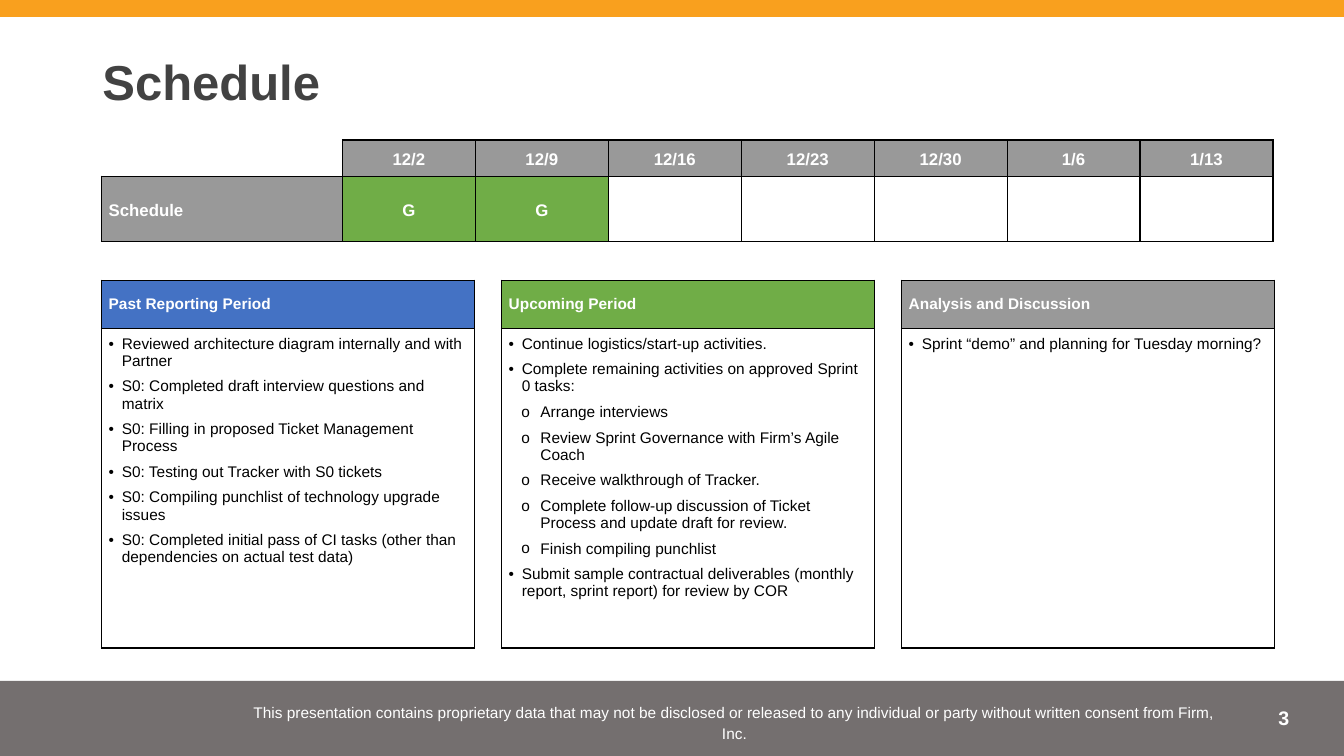
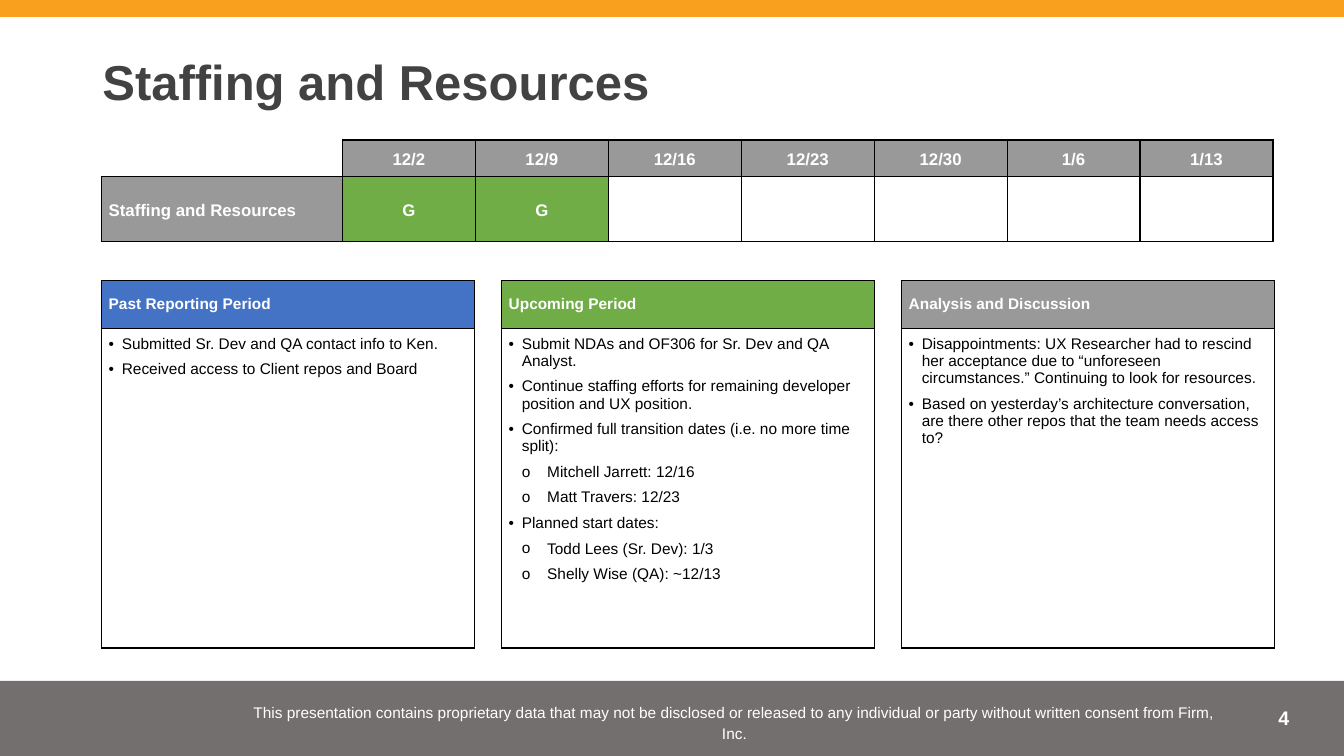
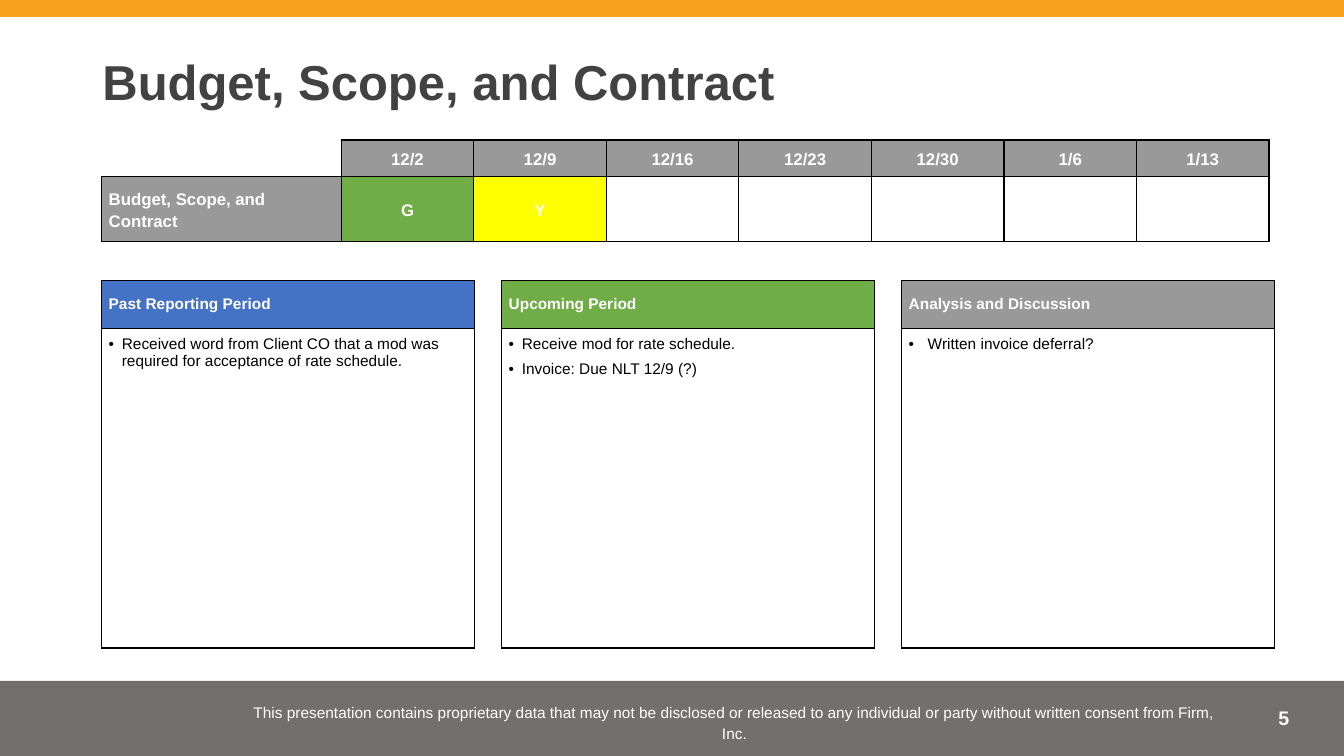
from collections import namedtuple

from lxml.etree import Element, SubElement
from pptx import Presentation
from pptx.dml.color import RGBColor
from pptx.enum.shapes import MSO_SHAPE
from pptx.enum.text import MSO_ANCHOR as Anchor, MSO_AUTO_SIZE as AutoSize, PP_ALIGN as Align
from pptx.oxml.ns import qn
from pptx.util import Cm, Pt

WHITE = RGBColor(0xFF, 0xFF, 0xFF)
BLACK = RGBColor(0x00, 0x00, 0x00)
CHARCOAL = RGBColor(0x42, 0x42, 0x42)
ORANGE = RGBColor(0xF9, 0xA0, 0x1E)
BROWN = RGBColor(0x4F, 0x49, 0x49)
GRAY = RGBColor(0x99, 0x99, 0x99)
GREEN = RGBColor(0x70, 0xAD, 0x47)
BLUE = RGBColor(0x44, 0x72, 0xC4)
YELLOW = RGBColor(0xFF, 0xFF, 0x00)

FONT = "Arial"
PLAIN_TABLE = "{2D5ABB26-0587-4C30-8999-92F81FD0307C}"
SLIDE_WIDTH, SLIDE_HEIGHT = 33.87, 19.05
CONTENT_LEFT = 2.56
CELL_INSET = 0.18
LABEL_SHARE = 0.21
CARD_STEP, CARD_WIDTH = 10.08, 9.4

DATES = ["12/2", "12/9", "12/16", "12/23", "12/30", "1/6", "1/13"]
STATUS_COLORS = {"G": GREEN, "Y": YELLOW}
CARD_HEADINGS = [
    ("Past Reporting Period", BLUE),
    ("Upcoming Period", GREEN),
    ("Analysis and Discussion", GRAY),
]
NOTICE = (
    "This presentation contains proprietary data that may not be disclosed or released "
    "to any individual or party without written consent from Firm, Inc."
)

Bullet = namedtuple("Bullet", "mark left hanging level")
MAIN = Bullet("•", 0.33, 0.33, 0)
WIDE = Bullet("•", 0.48, 0.48, 0)
TASK = Bullet("o", 0.8, 0.48, 1)
PERSON = Bullet("o", 0.97, 0.64, 0)

Report = namedtuple("Report", "title statuses label_width date_width cards")
REPORTS = [
    Report("Schedule", "GG", 6.07, 3.35, [
        [
            (MAIN, "Reviewed architecture diagram internally and with Partner"),
            (MAIN, "S0: Completed draft interview questions and matrix"),
            (MAIN, "S0: Filling in proposed Ticket Management Process"),
            (MAIN, "S0: Testing out Tracker with S0 tickets"),
            (MAIN, "S0: Compiling punchlist of technology upgrade issues"),
            (MAIN, "S0: Completed initial pass of CI tasks (other than dependencies on actual test data)"),
        ],
        [
            (MAIN, "Continue logistics/start-up activities."),
            (MAIN, "Complete remaining activities on approved Sprint 0 tasks:"),
            (TASK, "Arrange interviews"),
            (TASK, "Review Sprint Governance with Firm’s Agile Coach"),
            (TASK, "Receive walkthrough of Tracker."),
            (TASK, "Complete follow-up discussion of Ticket Process and update draft for review."),
            (TASK, "Finish compiling punchlist"),
            (MAIN, "Submit sample contractual deliverables (monthly report, sprint report) for review by COR"),
        ],
        [(MAIN, "Sprint “demo” and planning for Tuesday morning?")],
    ]),
    Report("Staffing and Resources", "GG", 6.07, 3.35, [
        [
            (MAIN, "Submitted Sr. Dev and QA contact info to Ken."),
            (MAIN, "Received access to Client repos and Board"),
        ],
        [
            (MAIN, "Submit NDAs and OF306 for Sr. Dev and QA Analyst."),
            (MAIN, "Continue staffing efforts for remaining developer position and UX position."),
            (MAIN, "Confirmed full transition dates (i.e. no more time split):"),
            (PERSON, "Mitchell Jarrett: 12/16"),
            (PERSON, "Matt Travers: 12/23"),
            (MAIN, "Planned start dates:"),
            (PERSON, "Todd Lees (Sr. Dev): 1/3"),
            (PERSON, "Shelly Wise (QA): ~12/13"),
        ],
        [
            (MAIN, "Disappointments: UX Researcher had to rescind her acceptance due to "
                   "“unforeseen circumstances.” Continuing to look for resources."),
            (MAIN, "Based on yesterday’s architecture conversation, are there other repos "
                   "that the team needs access to?"),
        ],
    ]),
    Report("Budget, Scope, and Contract", "GY", 6.04, 3.34, [
        [(MAIN, "Received word from Client CO that a mod was required for acceptance of rate schedule.")],
        [
            (MAIN, "Receive mod for rate schedule."),
            (MAIN, "Invoice: Due NLT 12/9 (?)"),
        ],
        [(WIDE, "Written invoice deferral?")],
    ]),
]


class StatusDeck:
    """Builds status report slides in one shared style."""

    def __init__(self):
        self.prs = Presentation()
        self.prs.slide_width, self.prs.slide_height = Cm(SLIDE_WIDTH), Cm(SLIDE_HEIGHT)
        self.slide = None

    def style(self, paragraph, size, color, bold=False, align=Align.LEFT, spacing=1.0):
        paragraph.alignment = align
        paragraph.line_spacing = spacing
        font = paragraph.font
        font.name, font.size, font.bold = FONT, Pt(size), bold
        font.color.rgb = color

    def frame(self, text_frame, text, inset, anchor, **style):
        text_frame.word_wrap = True
        text_frame.auto_size = AutoSize.NONE
        text_frame.vertical_anchor = anchor
        text_frame.margin_left = text_frame.margin_right = Cm(0.25)
        text_frame.margin_top = text_frame.margin_bottom = Cm(inset)
        text_frame.text = text
        self.style(text_frame.paragraphs[0], **style)

    def band(self, top, height, color, opacity=100):
        band = self.slide.shapes.add_shape(
            MSO_SHAPE.RECTANGLE, 0, Cm(top), Cm(SLIDE_WIDTH), Cm(height))
        band.shadow.inherit = False
        band.line.fill.background()
        band.fill.solid()
        band.fill.fore_color.rgb = color
        if opacity < 100:
            tint = band.fill._xPr.find(".//" + qn("a:srgbClr"))
            SubElement(tint, qn("a:alpha")).set("val", str(opacity * 1000))

    def text(self, left, top, width, height, text, inset, anchor, **style):
        box = self.slide.shapes.add_textbox(Cm(left), Cm(top), Cm(width), Cm(height))
        self.frame(box.text_frame, text, inset, anchor, **style)

    def start(self, title, number):
        self.slide = self.prs.slides.add_slide(self.prs.slide_layouts[5])
        self.band(17.16, 1.89, BROWN, opacity=79)
        self.band(0, 0.43, ORANGE)
        self.text(30, 17.67, 2.74, 1.02, str(number), 0.13, Anchor.TOP,
                  size=14, color=WHITE, bold=True, align=Align.RIGHT)
        self.text(5.77, 17.5, 25.48, 1.35, NOTICE, 0.25, Anchor.MIDDLE,
                  size=11, color=WHITE, align=Align.CENTER, spacing=1.15)
        heading = self.slide.shapes.title
        heading.left, heading.top = Cm(2.33), Cm(1.15)
        heading.width, heading.height = Cm(29.21), Cm(1.96)
        self.frame(heading.text_frame, title, 0.25, Anchor.MIDDLE,
                   size=35, color=CHARCOAL, bold=True, spacing=0.9)

    def table(self, left, top, widths, heights):
        shape = self.slide.shapes.add_table(
            len(heights), len(widths), Cm(left), Cm(top), Cm(sum(widths)), Cm(sum(heights)))
        table = shape.table
        table.first_row = table.horz_banding = False
        table._tbl.tblPr.find(qn("a:tableStyleId")).text = PLAIN_TABLE
        for column, width in zip(table.columns, widths):
            column.width = Cm(width)
        for row, height in zip(table.rows, heights):
            row.height = Cm(height)
        return table

    def cell(self, cell, text="", fill=None, sides="LRTB", inset=CELL_INSET,
             anchor=Anchor.MIDDLE, **style):
        cell.margin_left = cell.margin_right = cell.margin_top = cell.margin_bottom = Cm(inset)
        cell.vertical_anchor = anchor
        if fill is None:
            cell.fill.background()
        else:
            cell.fill.solid()
            cell.fill.fore_color.rgb = fill
        if text:
            cell.text = text
            self.style(cell.text_frame.paragraphs[0], color=WHITE, bold=True, **style)
        properties = cell._tc.get_or_add_tcPr()
        for position, side in enumerate(sides):
            border = Element(qn("a:ln" + side), w=str(Pt(1)))
            ink = SubElement(SubElement(border, qn("a:solidFill")), qn("a:srgbClr"))
            ink.set("val", str(BLACK))
            properties.insert(position, border)

    def status_table(self, report):
        widths = [report.label_width] + [report.date_width] * len(DATES)
        table = self.table(CONTENT_LEFT, 3.53, widths, [0.91, 1.65])
        self.cell(table.cell(0, 0), sides="RB", inset=0)
        self.cell(table.cell(1, 0), report.title, GRAY, size=12, spacing=1.15)
        centered = dict(size=12, align=Align.CENTER, spacing=1.15)
        for column, date in enumerate(DATES, start=1):
            status = report.statuses[column - 1:column]
            self.cell(table.cell(0, column), date, GRAY, **centered)
            self.cell(table.cell(1, column), status, STATUS_COLORS.get(status), **centered)

    def bullet(self, paragraph, bullet, text):
        paragraph.text = text
        paragraph.level = bullet.level
        paragraph.space_after = Pt(6)
        properties = paragraph._p.get_or_add_pPr()
        properties.set("marL", str(Cm(bullet.left)))
        properties.set("indent", str(-Cm(bullet.hanging)))
        SubElement(SubElement(properties, qn("a:buClr")), qn("a:srgbClr")).set("val", str(BLACK))
        SubElement(properties, qn("a:buFont")).set("typeface", FONT)
        SubElement(properties, qn("a:buChar")).set("char", bullet.mark)
        self.style(paragraph, 11, BLACK)

    def card(self, position, heading, color, items):
        table = self.table(CONTENT_LEFT + position * CARD_STEP, 7.06, [CARD_WIDTH], [1.21, 8.06])
        self.cell(table.cell(0, 0), heading, color, size=11)
        body = table.cell(1, 0)
        self.cell(body, anchor=Anchor.TOP)
        frame = body.text_frame
        for index, (bullet, text) in enumerate(items):
            paragraph = frame.add_paragraph() if index else frame.paragraphs[0]
            self.bullet(paragraph, bullet, text)


def main():
    deck = StatusDeck()
    for number, report in enumerate(REPORTS, start=3):
        deck.start(report.title, number)
        deck.status_table(report)
        for position, ((heading, color), items) in enumerate(zip(CARD_HEADINGS, report.cards)):
            deck.card(position, heading, color, items)
    deck.prs.save("out.pptx")


if __name__ == "__main__":
    main()
